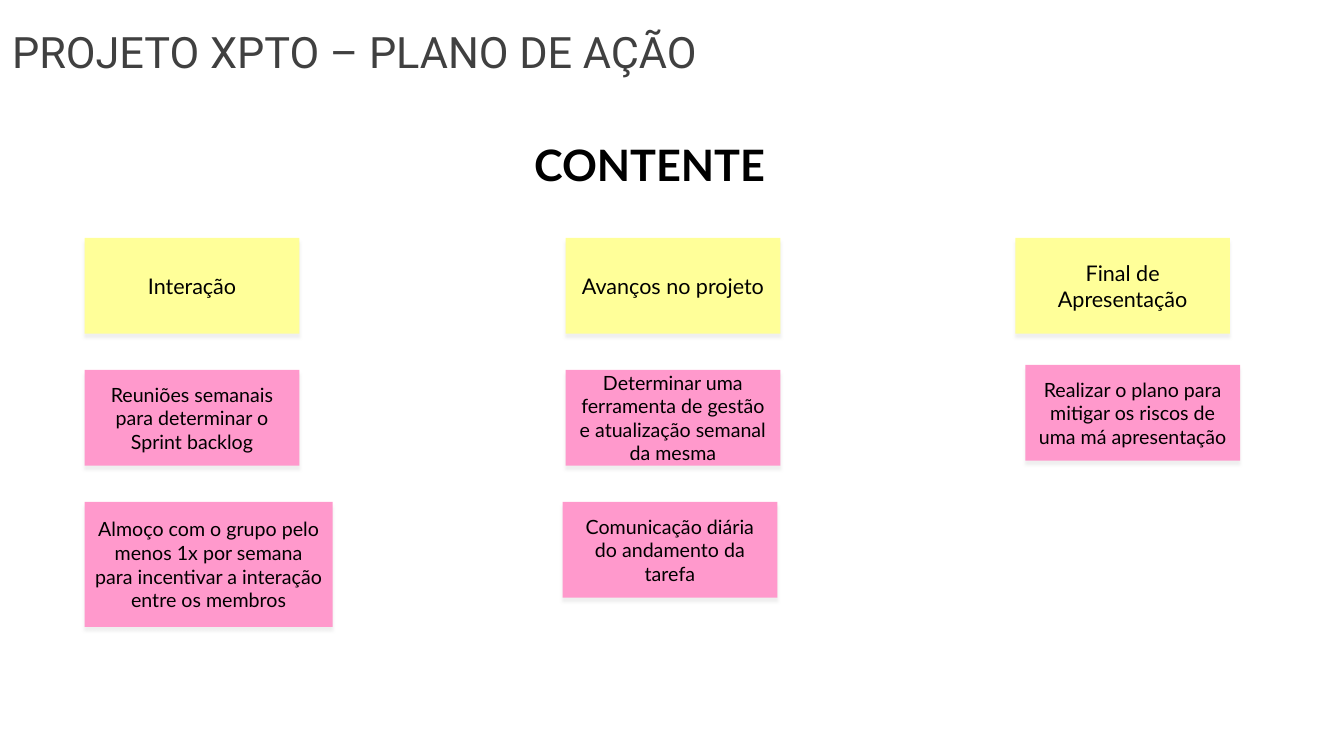
from lxml import etree
from pptx import Presentation, util as u
from pptx.dml.color import RGBColor
from pptx.enum import shapes, text
from pptx.oxml import ns

YELLOW = RGBColor(0xFF, 0xFF, 0x99)
PINK = RGBColor(0xFF, 0x99, 0xCC)
BLACK = RGBColor(0, 0, 0)
GREY = RGBColor(0x40, 0x40, 0x40)
SHADOW = RGBColor(0xD9, 0xD9, 0xD9)

HEADING = "PROJETO XPTO – PLANO DE AÇÃO"
MOOD = "CONTENTE"
NOTE = (2.13, 0.95)
TOP, ROW_PITCH = 2.36, 1.31
# topic, column left, actions as (wording, shift from grid, size)
TOPICS = [
    ("Interação", 0.84, [
        ("Reuniões semanais para determinar o Sprint backlog", (0, 0), NOTE),
        ("Almoço com o grupo pelo menos 1x por semana para incentivar "
         "a interação entre os membros", (0, 0), (2.46, 1.24)),
    ]),
    ("Avanços no projeto", 5.61, [
        ("Determinar uma ferramenta de gestão e atualização semanal da mesma", (0, 0), NOTE),
        ("Comunicação diária do andamento da tarefa", (-0.03, 0), NOTE),
    ]),
    ("Final de Apresentação", 10.07, [
        ("Realizar o plano para mitigar os riscos de uma má apresentação", (0.1, -0.05), NOTE),
    ]),
]


def write(frame, wording, size, font, color, align, anchor, bold=False):
    frame.text = wording
    frame.word_wrap = True
    frame.auto_size = text.MSO_AUTO_SIZE.NONE
    frame.vertical_anchor = anchor
    paragraph = frame.paragraphs[0]
    paragraph.alignment = align
    style = paragraph.runs[0].font
    style.size, style.name, style.bold = u.Pt(size), font, bold
    style.color.rgb = color


def add_shadow(note):
    note.shadow.inherit = False
    effects = note._element.spPr.find(ns.qn("a:effectLst"))
    outer = etree.SubElement(effects, ns.qn("a:outerShdw"), blurRad=str(u.Pt(2)),
                             dist=str(u.Pt(3)), dir="5400000", algn="t", rotWithShape="0")
    tint = etree.SubElement(outer, ns.qn("a:srgbClr"), val=str(SHADOW))
    etree.SubElement(tint, ns.qn("a:alpha"), val="40000")


def add_note(wording, left, top, extent, fill, size):
    note = slide.shapes.add_shape(shapes.MSO_SHAPE.RECTANGLE,
                                  *map(u.Inches, (left, top, *extent)))
    note.fill.solid()
    note.fill.fore_color.rgb = fill
    note.line.fill.background()
    add_shadow(note)
    write(note.text_frame, wording, size, "Lato", BLACK,
          text.PP_ALIGN.CENTER, text.MSO_ANCHOR.MIDDLE)


deck = Presentation()
deck.slide_width, deck.slide_height = u.Inches(13.33), u.Inches(7.5)
slide = deck.slides.add_slide(deck.slide_layouts[5])

heading = slide.shapes.title
heading.left, heading.top, heading.width, heading.height = map(u.Inches, (0.02, 0.2, 11.85, 1.37))
write(heading.text_frame, HEADING, 30.9, "Roboto", GREY, text.PP_ALIGN.LEFT, text.MSO_ANCHOR.TOP)
heading.text_frame.paragraphs[0].space_after = u.Pt(6.6)

mood = slide.shapes.add_textbox(*map(u.Inches, (5.2, 1.32, 2.93, 0.62)))
write(mood.text_frame, MOOD, 30.9, "Lato", BLACK, text.PP_ALIGN.LEFT, text.MSO_ANCHOR.TOP, True)

for topic, left, actions in TOPICS:
    add_note(topic, left, TOP, NOTE, YELLOW, 15.4)
    for row, (action, (dx, dy), extent) in enumerate(actions, 1):
        add_note(action, left + dx, TOP + row * ROW_PITCH + dy, extent, PINK, 14)

deck.save("out.pptx")
